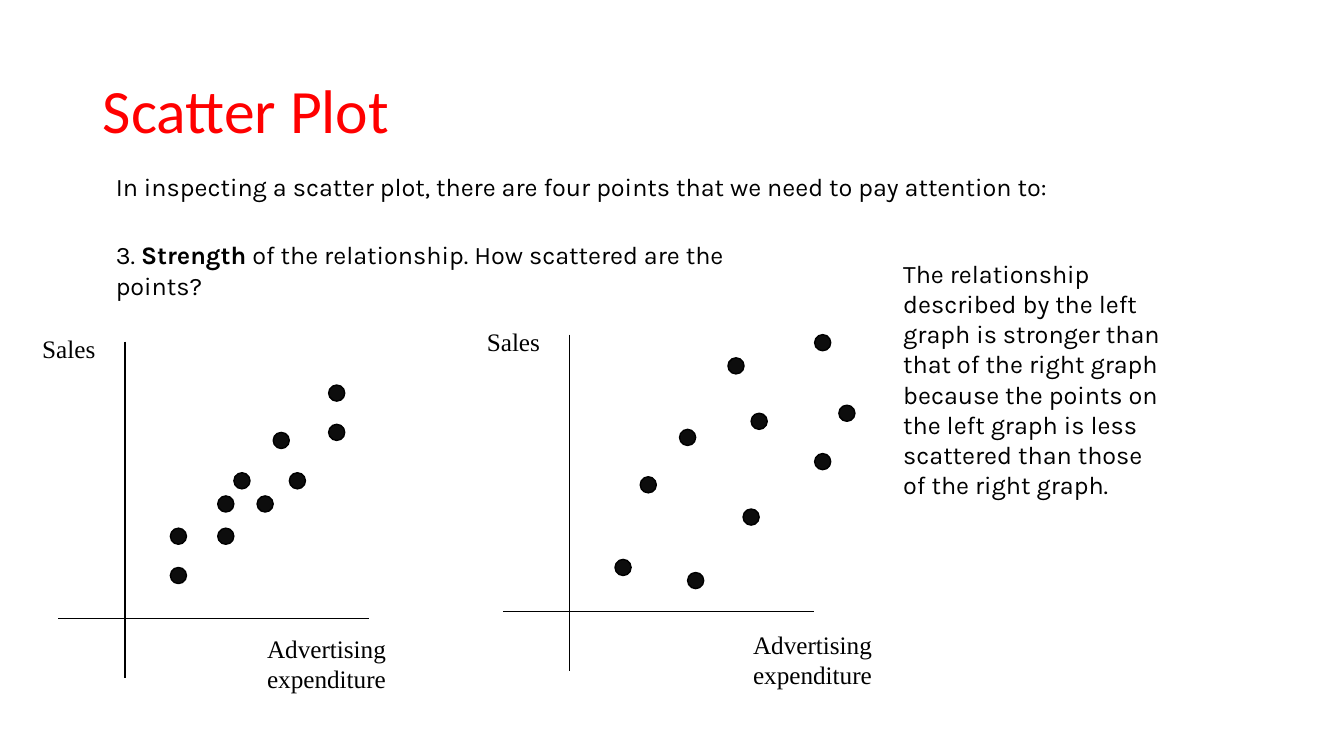
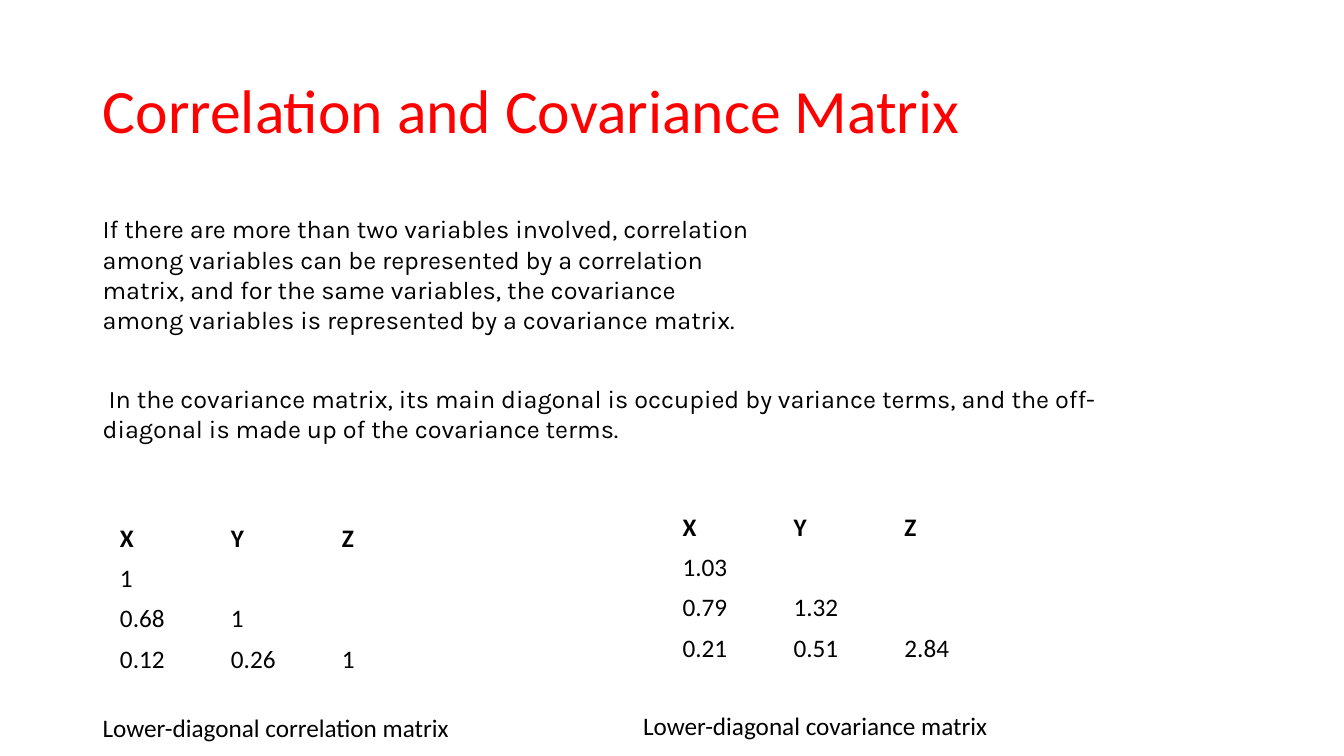
from lxml import etree
from pptx import Presentation
from pptx.dml.color import RGBColor
from pptx.enum.shapes import MSO_CONNECTOR as Line, MSO_SHAPE as Shape
from pptx.enum.text import MSO_ANCHOR as Anchor, MSO_AUTO_SIZE as Auto, PP_ALIGN as Align
from pptx.oxml.ns import qn
from pptx.util import Inches, Pt

# Shared look
COLORS = {"title": "FF0000", "text": "000000", "dot": "0D0D0D", "cell": "FFFFFF"}
HEAD, BODY, GRAPH = "Calibri", "Karla", "Times New Roman"
SIZE = 18
DOT = 0.16
COL, ROW = 1.1, 0.4

# Content: slide 1
INTRO = "In inspecting a scatter plot, there are four points that we need to pay attention to:"
POINT = [(" ", False), ("Strength", True),
         (" of the relationship. How scattered are the points?", False)]
NOTE = ("The relationship described by the left graph is stronger than that of the "
        "right graph because the points on the left graph is less scattered than "
        "those of the right graph.")
# Each plot: axis crossing, place of the x label, dot centres (right, up from crossing)
PLOTS = [
    {"zero": (1.24, 6.14), "label": (2.55, 6.23),
     "dots": [(0.53, 0.43), (0.53, 0.82), (1, 0.82), (1, 1.14), (1.16, 1.37),
              (1.39, 1.14), (1.55, 1.77), (1.71, 1.37), (2.1, 1.85), (2.1, 2.24)]},
    {"zero": (5.65, 6.07), "label": (7.37, 6.19),
     "dots": [(0.53, 0.44), (0.78, 1.26), (1.17, 1.73), (1.25, 0.31), (1.65, 2.44),
              (1.8, 0.94), (1.88, 1.89), (2.51, 1.49), (2.51, 2.67), (2.75, 1.97)]},
]

# Content: slide 2
PARAS = [
    ("If there are more than two variables involved, correlation among variables can be "
     "represented by a correlation matrix, and for the same variables, the covariance "
     "among variables is represented by a covariance matrix.", (0.92, 2.07, 6.67, 1.31)),
    (" In the covariance matrix, its main diagonal is occupied by variance terms, and the "
     "off-diagonal is made up of the covariance terms.", (0.92, 3.75, 10.3, 0.71)),
]
NAMES = ["X", "Y", "Z"]
TABLES = [
    {"at": (1.09, 5.14), "rows": [["1"], ["0.68", "1"], ["0.12", "0.26", "1"]],
     "label": "Lower-diagonal correlation matrix", "box": (0.92, 7.02, 3.67, 0.4)},
    {"at": (6.67, 5.03), "rows": [["1.03"], ["0.79", "1.32"], ["0.21", "0.51", "2.84"]],
     "label": "Lower-diagonal covariance matrix", "box": (6.28, 7, 3.65, 0.4)},
]


def color(key):
    return RGBColor.from_string(COLORS[key])


def style(para, face, size=SIZE, key="text", bold=False):
    font = para.font
    font.name, font.size, font.bold = face, Pt(size), bold
    font.color.rgb = color(key)


def add_text(shapes, text, box, face=BODY, wrap=True):
    frame = shapes.add_textbox(*map(Inches, box)).text_frame
    frame.word_wrap = wrap
    para = frame.paragraphs[0]
    para.text = text
    style(para, face)
    return para


def add_slide(deck, text):
    slide = deck.slides.add_slide(deck.slide_layouts[5])
    title = slide.shapes.title
    title.left, title.top, title.width, title.height = map(Inches, (0.92, 0.4, 11.5, 1.45))
    frame = title.text_frame
    frame.text = text
    frame.auto_size = Auto.NONE
    frame.vertical_anchor = Anchor.MIDDLE
    para = frame.paragraphs[0]
    para.alignment, para.line_spacing = Align.LEFT, 0.9
    style(para, HEAD, 44, "title")
    return slide


def add_point(slide):
    box = slide.shapes.add_textbox(*map(Inches, (1.05, 2.33, 6.67, 0.7)))
    box.text_frame.word_wrap = True
    para = box.text_frame.paragraphs[0]
    props = para._p.get_or_add_pPr()
    etree.SubElement(props, qn("a:buAutoNum"), type="arabicPeriod", startAt="3")
    style(para, BODY)
    for text, bold in POINT:
        run = para.add_run()
        run.text, run.font.bold = text, bold
        # The list number takes its look from the first run
        run.font.name, run.font.size = BODY, Pt(SIZE)


def add_axis(shapes, *ends):
    line = shapes.add_connector(Line.STRAIGHT, *map(Inches, ends))
    line.line.color.rgb = color("text")
    line.line.width = Pt(0.75)
    etree.SubElement(line._element.spPr, qn("a:effectLst"))


def add_plot(slide, plot):
    shapes = slide.shapes.add_group_shape().shapes
    x, y = plot["zero"]
    add_axis(shapes, x, y - 2.75, x, y + 0.59)
    add_axis(shapes, x - 0.66, y, x + 2.42, y)
    add_text(shapes, "Sales", (x - 0.92, y - 2.88, 0.92, 0.4), GRAPH)
    add_text(shapes, "Advertising expenditure", (*plot["label"], 1.49, 0.71), GRAPH)
    for right, up in plot["dots"]:
        place = (x + right - DOT / 2, y - up - DOT / 2, DOT, DOT)
        dot = shapes.add_shape(Shape.OVAL, *map(Inches, place))
        dot.shadow.inherit = False
        dot.fill.solid()
        dot.fill.fore_color.rgb = color("dot")
        dot.line.color.rgb = color("text")
        dot.line.width = Pt(1)


def add_matrix(slide, data):
    rows = [NAMES] + data["rows"]
    wide, high = len(NAMES), len(rows)
    place = (*data["at"], COL * wide, ROW * high)
    table = slide.shapes.add_table(high, wide, *map(Inches, place)).table
    table.horz_banding = False
    for i, row in enumerate(rows):
        for j in range(wide):
            cell = table.cell(i, j)
            cell.fill.solid()
            cell.fill.fore_color.rgb = color("cell")
            para = cell.text_frame.paragraphs[0]
            if j < len(row):
                para.text = row[j]
            style(para, HEAD, bold=i == 0)
    add_text(slide.shapes, data["label"], data["box"], HEAD, False)


def main():
    deck = Presentation()
    deck.slide_width, deck.slide_height = Inches(13.33), Inches(7.5)

    # Slide 1: two scatter plots
    slide = add_slide(deck, "Scatter Plot")
    add_text(slide.shapes, INTRO, (1.05, 1.65, 10.13, 0.4))
    add_point(slide)
    add_text(slide.shapes, NOTE, (8.86, 2.51, 2.83, 2.52))
    for plot in PLOTS:
        add_plot(slide, plot)

    # Slide 2: two matrices
    slide = add_slide(deck, "Correlation and Covariance Matrix")
    for text, box in PARAS:
        add_text(slide.shapes, text, box)
    for data in TABLES:
        add_matrix(slide, data)

    deck.save("out.pptx")


if __name__ == "__main__":
    main()
